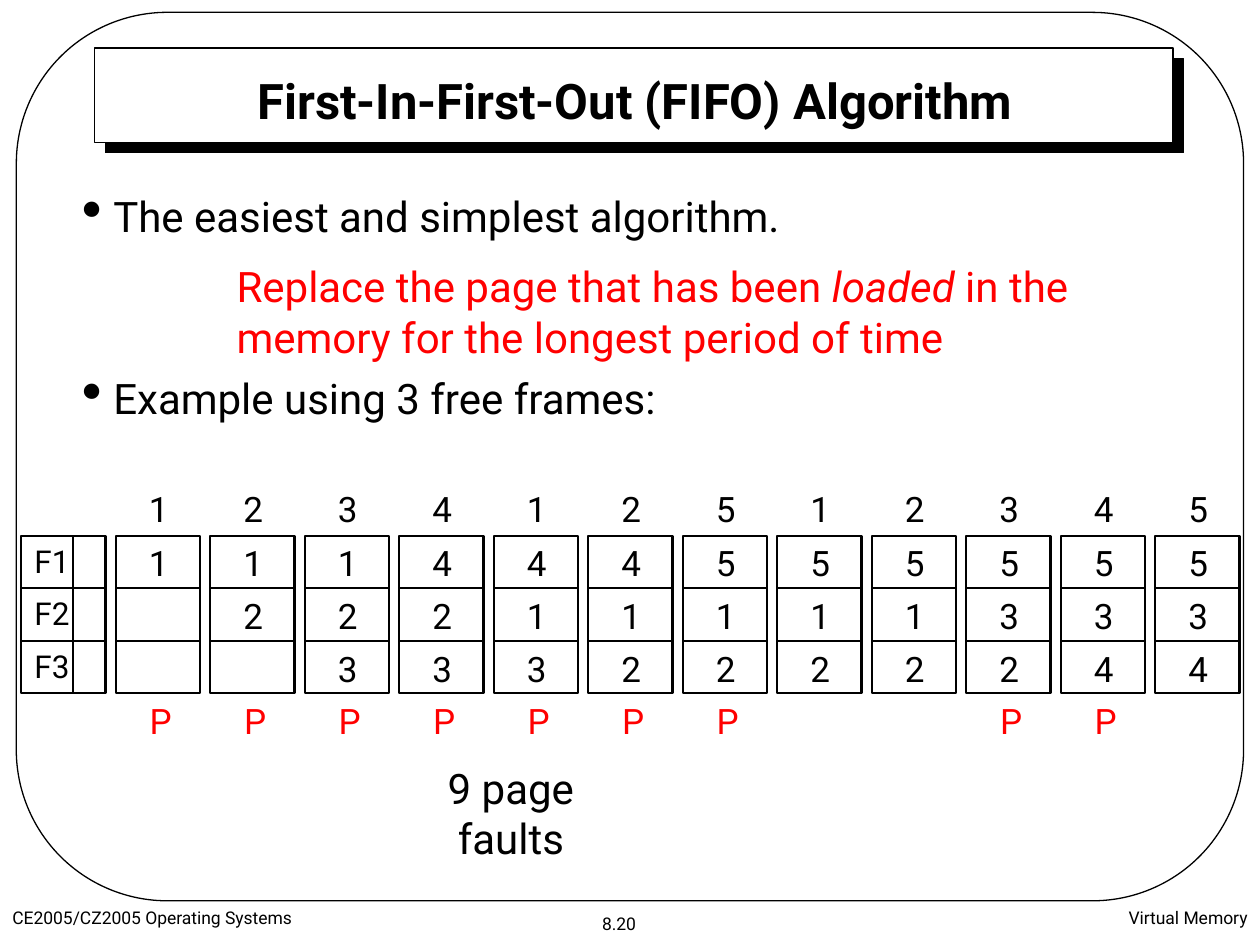
from dataclasses import dataclass, field

import pptx
import pptx.dml.color
import pptx.enum.shapes
import pptx.enum.text
import pptx.oxml
import pptx.oxml.ns
import pptx.util
from pptx.util import Cm

COLORS = {"ink": "000000", "paper": "FFFFFF", "alert": "FF0000"}
ALIGN = pptx.enum.text.PP_ALIGN
ANCHOR = pptx.enum.text.MSO_ANCHOR
SHAPE = pptx.enum.shapes.MSO_SHAPE
FONT = "Roboto"

# Reference string and frame grid, lengths in cm
REFERENCES = (1, 2, 3, 4, 1, 2, 5, 1, 2, 3, 4, 5)
FRAMES = 3
GRID_LEFT, GRID_TOP, GRID_H = 0.43, 10.8, 3.18
PITCH = 22.86 / len(REFERENCES)
COL_W, ROW_H = 1.7, GRID_H / FRAMES
DIGIT_DX, DIGIT_W, FAULT_W, LABEL_W = 0.41, 0.91, 0.99, 1.24
DIGIT_H, LABEL_H = 1.09, 1.02


@dataclass
class Label:
    """A text box: one list of (text, format) runs per paragraph."""
    paragraphs: list
    x: float
    y: float
    w: float
    h: float
    size: float
    color: str = "ink"
    align: ALIGN = ALIGN.CENTER
    wrap: bool = False
    frame: dict = field(default_factory=dict)


@dataclass
class Step:
    """Frame contents after one page reference."""
    page: int
    frames: list
    fault: bool


def rgb(name: str) -> pptx.dml.color.RGBColor:
    return pptx.dml.color.RGBColor.from_string(COLORS[name])


def apply(target, values: dict) -> None:
    for name, value in values.items():
        setattr(target, name, value)


def add_run(p, text: str, size: float, color: str = "ink", **extra) -> None:
    r = p.add_run()
    r.text = text
    apply(r.font, {"name": FONT, "size": pptx.util.Pt(size), **extra})
    r.font.color.rgb = rgb(color)


def add_label(shapes, label: Label):
    sp = shapes.add_textbox(Cm(label.x), Cm(label.y), Cm(label.w), Cm(label.h))
    tf = sp.text_frame
    apply(tf, {"word_wrap": label.wrap, **label.frame})
    for i, runs in enumerate(label.paragraphs):
        p = tf.add_paragraph() if i else tf.paragraphs[0]
        p.alignment = label.align
        for text, extra in runs:
            add_run(p, text, label.size, label.color, **extra)
    return sp


def add_word(shapes, text: str, x: float, y: float, w: float, h: float,
             size: float, color: str = "ink") -> None:
    add_label(shapes, Label([[(text, {})]], x, y, w, h, size, color))


def add_box(shapes, kind: SHAPE, x: float, y: float, w: float, h: float,
            line: float, filled: bool = True):
    sp = shapes.add_shape(kind, Cm(x), Cm(y), Cm(w), Cm(h))
    sp.shadow.inherit = False
    if filled:
        sp.fill.solid()
        sp.fill.fore_color.rgb = rgb("paper")
    else:
        sp.fill.background()
    sp.line.color.rgb = rgb("ink")
    sp.line.width = pptx.util.Pt(line)
    return sp


def add_line(shapes, x1: float, y1: float, x2: float, y2: float, width: float) -> None:
    cx = shapes.add_connector(pptx.enum.shapes.MSO_CONNECTOR.STRAIGHT,
                              Cm(x1), Cm(y1), Cm(x2), Cm(y2))
    cx.line.color.rgb = rgb("ink")
    cx.line.width = pptx.util.Pt(width)
    pr = cx.element.spPr
    pr.append(pr.makeelement(pptx.oxml.ns.qn("a:effectLst"), {}))


def add_hard_shadow(sp) -> None:
    effects = sp.element.spPr.find(pptx.oxml.ns.qn("a:effectLst"))
    effects.append(pptx.oxml.parse_xml(
        f'<a:outerShdw {pptx.oxml.ns.nsdecls("a")} dist="107950" dir="2700000" '
        f'algn="ctr" rotWithShape="0"><a:srgbClr val="{COLORS["ink"]}"/></a:outerShdw>'))


def add_bullet(p) -> None:
    pr = p._p.get_or_add_pPr()
    pr.set("marL", "228600")
    pr.set("indent", "-228600")
    for tag, attrs in (("a:buSzPct", {"val": "140000"}), ("a:buChar", {"char": "•"})):
        pr.append(pr.makeelement(pptx.oxml.ns.qn(tag), attrs))


def run_fifo(references: tuple) -> list[Step]:
    frames, oldest, steps = [""] * FRAMES, 0, []
    for page in references:
        fault = page not in frames
        if fault:
            frames[oldest] = page
            oldest = (oldest + 1) % FRAMES
        steps.append(Step(page, list(frames), fault))
    return steps


def add_column(s, x: float, pages: list) -> None:
    group = s.shapes.add_group_shape().shapes
    add_box(group, SHAPE.RECTANGLE, x, GRID_TOP, COL_W, GRID_H, 1.25)
    for row in range(1, FRAMES):
        y = GRID_TOP + row * ROW_H
        add_line(group, x, y, x + COL_W, y, 1.25)
    for row, page in enumerate(pages):
        if page:
            add_word(group, str(page), x + DIGIT_DX, GRID_TOP + row * ROW_H,
                     DIGIT_W, DIGIT_H, 20)


def main() -> None:
    prs = pptx.Presentation()
    prs.slide_width, prs.slide_height = Cm(25.4), Cm(19.05)
    s = prs.slides.add_slide(prs.slide_layouts[5])

    # Slide frame and title
    add_hard_shadow(add_box(s.shapes, SHAPE.RECTANGLE, 1.91, 0.97, 21.74, 1.9, 0.75))
    border = add_box(s.shapes, SHAPE.ROUNDED_RECTANGLE, 0.33, 0.25, 24.74, 17.91, 0.75, False)
    border.adjustments[0] = 0.17
    title = s.shapes.title
    apply(title, {"left": Cm(3.23), "top": Cm(1.37), "width": Cm(19.13), "height": Cm(1.27)})
    title.text_frame.vertical_anchor = ANCHOR.MIDDLE
    p = title.text_frame.paragraphs[0]
    p.alignment = ALIGN.CENTER
    add_run(p, "First-In-First-Out (FIFO) Algorithm", 28, bold=True)
    title.element.getparent().append(title.element)  # bring in front of its bar

    # Footer
    for text, x, y, w, h, align in (
            ("CE2005/CZ2005 Operating Systems", 0, 18.16, 8.05, 0.89, ALIGN.LEFT),
            ("8.20", 11.86, 18.29, 1.24, 0.69, ALIGN.CENTER),
            ("Virtual Memory", 17.35, 18.16, 8.05, 0.89, ALIGN.RIGHT)):
        add_label(s.shapes, Label([[(text, {})]], x, y, w, h, 10, align=align))

    # Bullets, with room between them for the rule
    bullets = [[("The easiest and simplest algorithm.", {})],
               [("Example using 3 free frames:", {})]]
    body = add_label(s.shapes, Label(bullets, 1.4, 3.84, 22.73, 4.6, 24,
                                     align=ALIGN.LEFT, wrap=True))
    for p, gap in zip(body.text_frame.paragraphs, (0, 78)):
        apply(p, {"line_spacing": 0.9, "space_before": pptx.util.Pt(gap)})
        add_bullet(p)
    rule = [[("Replace the page that has been ", {}), ("loaded", {"italic": True}),
             (" in the", {})],
            [("memory for the longest period of time", {})]]
    add_label(s.shapes, Label(rule, 4.52, 5.13, 18.01, 2.31, 24, "alert", ALIGN.LEFT))

    # Frame names
    add_column(s, GRID_LEFT, [])
    for row in range(FRAMES):
        add_word(s.shapes, f"F{row + 1}", GRID_LEFT, GRID_TOP + row * ROW_H,
                 LABEL_W, LABEL_H, 18)
    add_line(s.shapes, 1.47, GRID_TOP, 1.47, GRID_TOP + GRID_H, 0.75)

    # One column for each page reference
    steps = run_fifo(REFERENCES)
    for i, step in enumerate(steps, 1):
        x = GRID_LEFT + i * PITCH
        add_column(s, x, step.frames)
        add_word(s.shapes, str(step.page), x + DIGIT_DX, GRID_TOP - DIGIT_H,
                 DIGIT_W, DIGIT_H, 20)
        if step.fault:
            add_word(s.shapes, "P", x + DIGIT_DX, GRID_TOP + GRID_H,
                     FAULT_W, DIGIT_H, 20, "alert")

    # Result
    faults = sum(step.fault for step in steps)
    add_label(s.shapes, Label([[(f"{faults} page faults", {})]], 7.62, 15.24, 5.36, 2.29, 24,
                              wrap=True, frame={"margin_left": Cm(1), "margin_right": Cm(1)}))

    prs.save("out.pptx")


if __name__ == "__main__":
    main()
